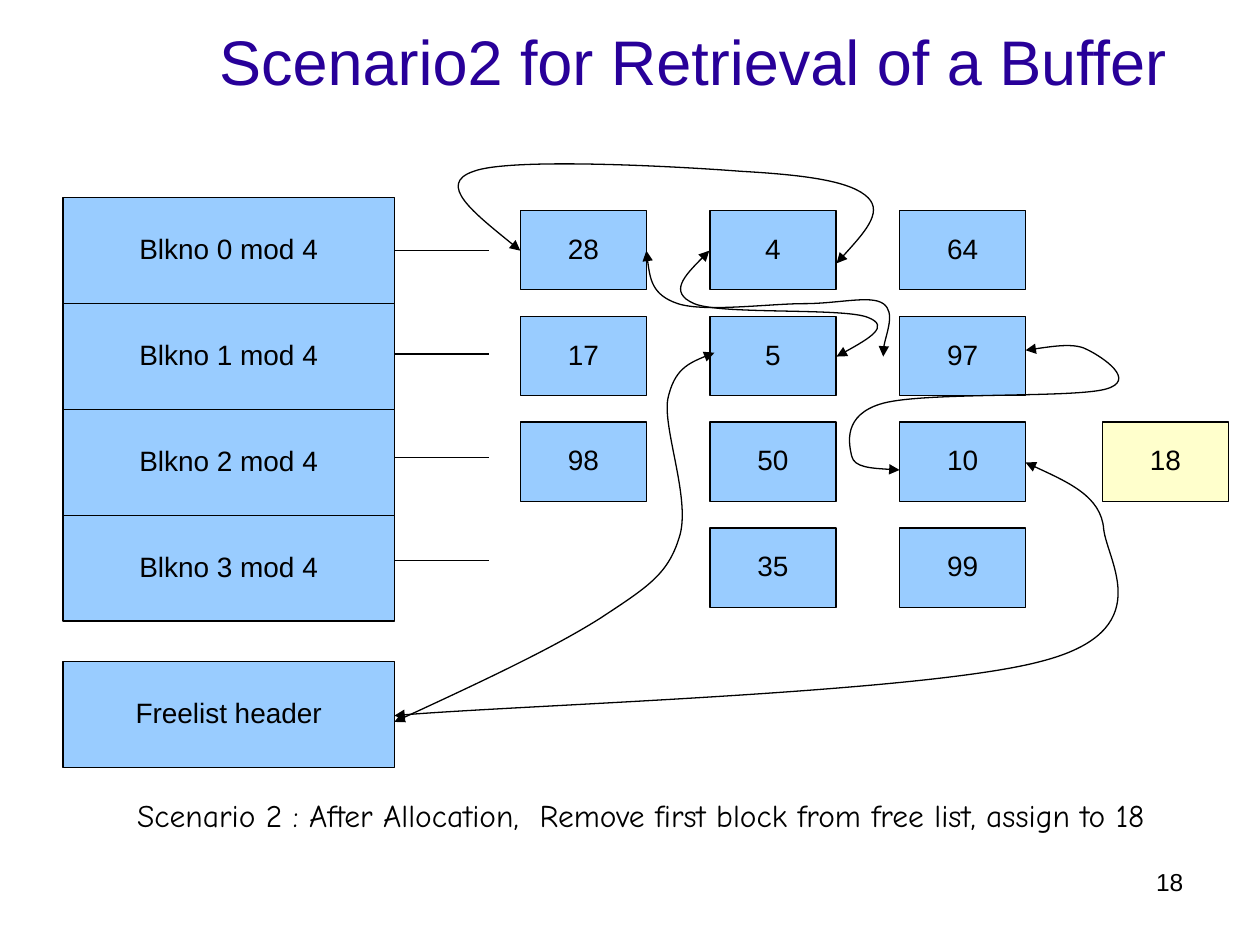
from dataclasses import dataclass

from lxml.etree import SubElement
from pptx import Presentation
from pptx.dml.color import RGBColor
from pptx.enum.shapes import MSO_CONNECTOR, MSO_SHAPE
from pptx.enum.text import MSO_ANCHOR, PP_ALIGN
from pptx.oxml.ns import qn
from pptx.util import Inches, Pt

BLUE, YELLOW, BLACK, INDIGO = "99CCFF", "FFFFCC", "000000", "280099"
LINE_WIDTH = Pt(0.74)
ROW_TOP, ROW_PITCH = 1.57, 0.84
HEADER_LEFT, HEADER_WIDTH = 0.5, 2.63
HEADER_RIGHT = HEADER_LEFT + HEADER_WIDTH
BUFFER_LEFT, BUFFER_PITCH = 4.13, 1.505


@dataclass
class Box:
    text: str
    left: float
    top: float
    width: float = 1.0
    height: float = 0.63
    fill: str = BLUE


@dataclass
class Label:
    text: str
    left: float
    top: float
    width: float
    height: float
    size: float
    align: PP_ALIGN = PP_ALIGN.LEFT
    font: str = "Arial"
    color: str = BLACK
    spacing: float = 1.0
    before: float = 0
    margins: tuple[float, float] = (0.1, 0.05)
    anchor: MSO_ANCHOR = MSO_ANCHOR.TOP
    wrap: bool = True


@dataclass
class Link:
    start: tuple[float, float]
    controls: list[tuple[float, float]]


def rgb(value: str) -> RGBColor:
    return RGBColor.from_string(value)


def assign(target, values: dict) -> None:
    for name, value in values.items():
        setattr(target, name, value)


def write(sp, label: Label) -> None:
    tf = sp.text_frame
    across, down = map(Inches, label.margins)
    assign(tf, {"word_wrap": label.wrap, "vertical_anchor": label.anchor,
                "margin_left": across, "margin_right": across,
                "margin_top": down, "margin_bottom": down})
    p = tf.paragraphs[0]
    assign(p, {"alignment": label.align, "line_spacing": label.spacing,
               "space_before": Pt(label.before)})
    r = p.add_run()
    r.text = label.text
    assign(r.font, {"name": label.font, "size": Pt(label.size)})
    r.font.color.rgb = rgb(label.color)


def outline(sp) -> None:
    sp.line.color.rgb = rgb(BLACK)
    sp.line.width = LINE_WIDTH


def add_box(s, box: Box) -> None:
    place = (box.left, box.top, box.width, box.height)
    sp = s.shapes.add_shape(MSO_SHAPE.RECTANGLE, *map(Inches, place))
    sp.shadow.inherit = False
    sp.fill.solid()
    sp.fill.fore_color.rgb = rgb(box.fill)
    outline(sp)
    write(sp, Label(box.text, *place, size=16, align=PP_ALIGN.CENTER,
                    spacing=0.91, anchor=MSO_ANCHOR.MIDDLE, wrap=False))


def add_label(s, label: Label) -> None:
    place = (label.left, label.top, label.width, label.height)
    write(s.shapes.add_textbox(*map(Inches, place)), label)


def add_stub(s, y: float) -> None:
    ends = (HEADER_RIGHT, y, HEADER_RIGHT + 0.75, y)
    sp = s.shapes.add_connector(MSO_CONNECTOR.STRAIGHT, *map(Inches, ends))
    outline(sp)
    SubElement(sp._element.spPr, qn("a:effectLst"))


def add_link(s, link: Link) -> None:
    """Draw a double-headed curve, three control points to a Bezier segment."""
    builder = s.shapes.build_freeform(*map(Inches, link.start))
    builder.add_line_segments([(Inches(x), Inches(y)) for x, y in link.controls],
                              close=False)
    sp = builder.convert_to_shape()
    sp.shadow.inherit = False
    sp.fill.background()
    outline(sp)
    path = sp._element.spPr.find(".//" + qn("a:path"))
    steps = path.findall(qn("a:lnTo"))
    for i in range(0, len(steps), 3):
        curve = SubElement(path, qn("a:cubicBezTo"))
        for step in steps[i:i + 3]:
            curve.append(step[0])
            path.remove(step)
    ln = sp.line._get_or_add_ln()
    for end in ("a:headEnd", "a:tailEnd"):
        SubElement(ln, qn(end), type="triangle")


BUFFERS = [("28", "4", "64"), ("17", "5", "97"), ("98", "50", "10"), ("", "35", "99")]

LINKS = [
    Link((6.64, 2.83), [(6.86, 2.71), (7.07, 2.59), (6.89, 2.52),
                        (6.7, 2.44), (5.72, 2.5), (5.51, 2.41),
                        (5.3, 2.32), (5.47, 2.15), (5.63, 1.99)]),
    Link((6.64, 2.09), [(6.82, 1.89), (7.01, 1.69), (6.89, 1.57),
                        (6.76, 1.44), (6.41, 1.39), (5.88, 1.36),
                        (5.36, 1.32), (4.05, 1.25), (3.76, 1.36),
                        (3.46, 1.46), (3.8, 1.72), (4.13, 1.99)]),
    Link((5.13, 1.99), [(5.15, 2.16), (5.17, 2.34), (5.38, 2.41),
                        (5.59, 2.48), (6.11, 2.41), (6.38, 2.41),
                        (6.66, 2.41), (6.91, 2.34), (7.01, 2.41),
                        (7.11, 2.48), (6.99, 2.76), (7.01, 2.83)]),
    Link((8.14, 2.78), [(8.34, 2.75), (8.54, 2.72), (8.64, 2.78),
                        (8.74, 2.83), (9.04, 3.02), (8.77, 3.09),
                        (8.49, 3.16), (7.35, 3.11), (7.01, 3.2),
                        (6.68, 3.29), (6.74, 3.53), (6.76, 3.62),
                        (6.78, 3.71), (6.96, 3.72), (7.14, 3.73)]),
    Link((8.14, 3.67), [(8.44, 3.81), (8.74, 3.94), (8.76, 4.2),
                        (8.79, 4.46), (9.2, 5.01), (8.26, 5.25),
                        (7.32, 5.5), (3.98, 5.6), (3.13, 5.68)]),
    Link((3.13, 5.73), [(3.76, 5.44), (4.38, 5.15), (4.76, 4.91),
                        (5.14, 4.66), (5.3, 4.56), (5.39, 4.27),
                        (5.49, 3.98), (5.26, 3.41), (5.3, 3.17),
                        (5.35, 2.93), (5.51, 2.86), (5.67, 2.8)]),
]

LABELS = [
    Label("Scenario2 for Retrieval of a Buffer", 1, 0, 9, 1, 36, PP_ALIGN.CENTER,
          color=INDIGO, spacing=0.98, before=11, margins=(0, 0),
          anchor=MSO_ANCHOR.MIDDLE),
    Label("Scenario 2 : After Allocation,  Remove first block from free list, "
          "assign to 18", 0.99, 6.27, 8.23, 0.4, 18, font="Comic Neue", wrap=False),
    Label("18", 7.17, 6.83, 2.32, 0.52, 14, PP_ALIGN.RIGHT),
]

prs = Presentation()
prs.slide_width, prs.slide_height = Inches(10), Inches(7.5)
s = prs.slides.add_slide(prs.slide_layouts[6])

for row, names in enumerate(BUFFERS):
    top = ROW_TOP + row * ROW_PITCH
    add_box(s, Box(f"Blkno {row} mod 4", HEADER_LEFT, top, HEADER_WIDTH, ROW_PITCH))
    add_stub(s, 1.99 + row * 0.82)
    for col, name in enumerate(names):
        if name:
            add_box(s, Box(name, BUFFER_LEFT + col * BUFFER_PITCH, top + 0.1))
add_box(s, Box("Freelist header", HEADER_LEFT, 5.25, HEADER_WIDTH, ROW_PITCH))
add_box(s, Box("18", 8.75, 3.35, fill=YELLOW))
for link in LINKS:
    add_link(s, link)
for label in LABELS:
    add_label(s, label)

prs.save("out.pptx")
